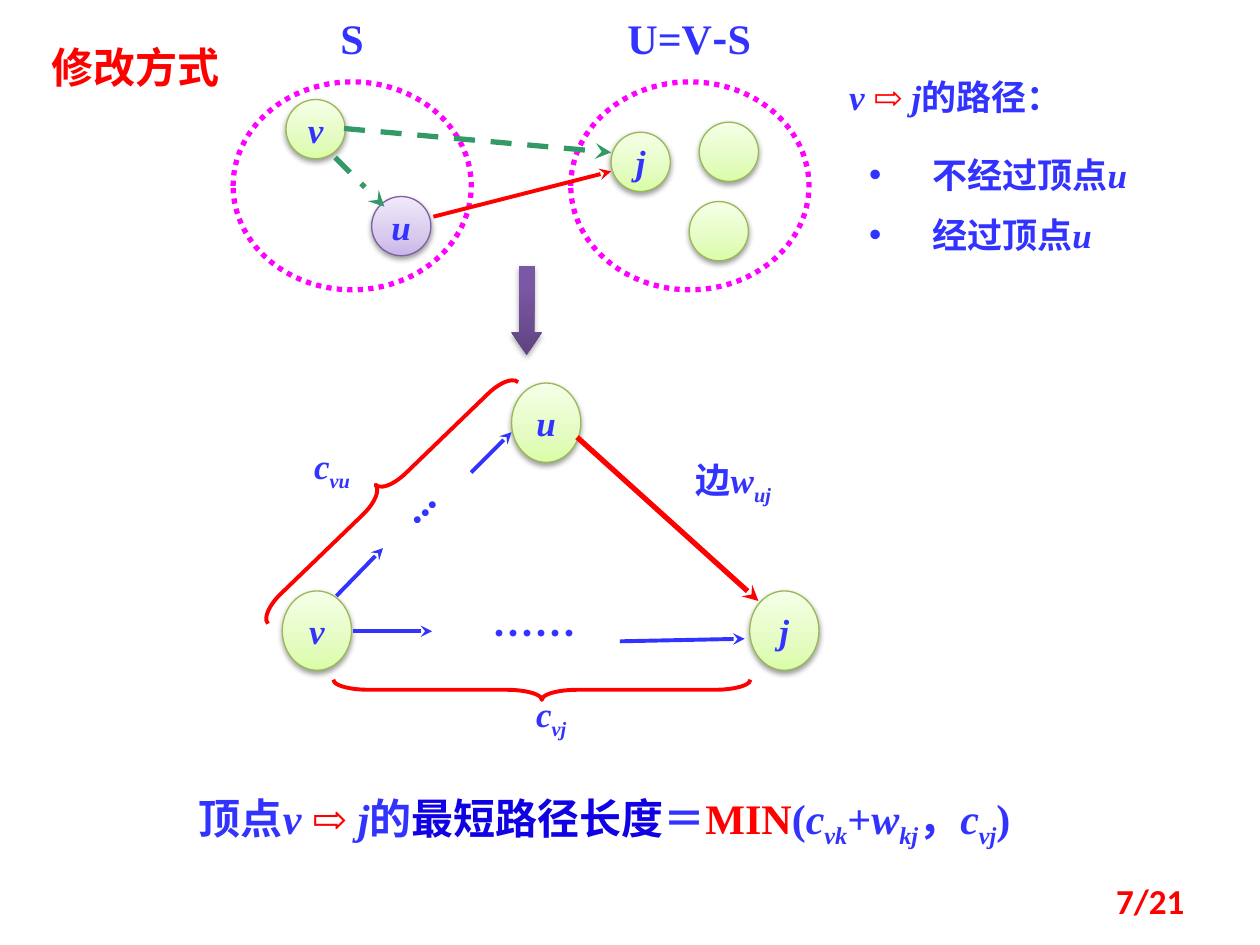
from copy import deepcopy

from lxml import etree
from pptx import Presentation
from pptx import util as u
from pptx.dml.color import RGBColor
from pptx.enum import dml, shapes, text
from pptx.oxml import ns

PX = 9144
SERIF, SANS, PLAIN = "Times New Roman", "Noto Sans CJK SC", "Calibri"
COLORS = {
    "blue": "3333FF", "deep": "1000E4", "red": "FF0000", "magenta": "FF00FF",
    "teal": "339966", "green_edge": "98B955", "purple_edge": "7D60A0", "black": "000000",
}
GRADIENTS = {
    "green": [(0, "DAFDA7"), (0.35, "E4FCC2"), (1, "F5FFE7")],
    "purple": [(0, "C9B5E8"), (0.35, "D8CBEE"), (1, "F0EAF9")],
    "arrow": [(0, "5F4480"), (0.8, "7B58A6"), (1, "7C57A8")],
}
LEFT, CENTER, RIGHT = text.PP_ALIGN.LEFT, text.PP_ALIGN.CENTER, text.PP_ALIGN.RIGHT

# Run flags: i italic, s subscript, r red, d deep blue, k sans
SETS = [(185, 65, 189, 165), (453, 65, 189, 165)]
SMALL, LARGE = (47, 47), (55, 63)
NODES = [
    ("v", 227, 79, SMALL, "green"), ("u", 295, 156, SMALL, "purple"),
    ("", 547, 160, SMALL, "green"), ("j", 485, 105, SMALL, "green"),
    ("", 555, 97, SMALL, "green"), ("u", 406, 304, LARGE, "green"),
    ("v", 224, 469, LARGE, "green"), ("j", 595, 469, LARGE, "green"),
]
ARROWS = [
    (344, 172, 485, 136, "red", 2.25, None),
    (273, 102, 485, 121, "teal", 3, dml.MSO_LINE.DASH),
    (266, 125, 305, 164, "teal", 3, dml.MSO_LINE.DASH_DOT),
    (458, 347, 602, 477, "red", 3, None),
    (267, 473, 304, 435, "blue", 2.25, None),
    (374, 375, 406, 343, "blue", 2.25, None),
    (280, 501, 343, 501, "blue", 2.25, None),
    (492, 509, 591, 507, "blue", 2.25, None),
]
BRACES = [
    (shapes.MSO_SHAPE.LEFT_BRACE, (295, 254, 20, 276), 46, 1.17),
    (shapes.MSO_SHAPE.RIGHT_BRACE, (422, 382, 16, 331), 90, 1.76),
]
DOWN_ARROW = (406, 211, 24, 71)
HEADINGS = [
    ((248, 10, 63, 40), [("S", "")]),
    ((492, 10, 110, 40), [("U=V", ""), ("-", "k"), ("S", "")]),
]
LABELS = [
    ((148, 624, 711, 50), 24, LEFT, 0, [
        ("顶点", ""), ("v ", "i"), ("⇨ ", "r"), ("j", "i"), ("的", ""), ("最短路径长度", "d"),
        ("＝", ""), ("MIN", "r"), ("(", ""), ("c", "i"), ("vk", "is"), ("+", ""), ("w", "i"),
        ("kj", "is"), ("，", ""), ("c", "i"), ("vj", "is"), (")", "")]),
    ((310, 390, 71, 50), 24, CENTER, 135, [("...", "")]),
    ((232, 348, 63, 44), 20, CENTER, 0, [("c", "i"), ("vu", "is")]),
    ((373, 477, 102, 50), 24, CENTER, 0, [("……", "k")]),
    ((406, 545, 63, 44), 20, CENTER, 0, [("c", "i"), ("vj", "is")]),
    ((515, 359, 134, 44), 20, CENTER, 0, [("边", ""), ("w", "i"), ("uj", "is")]),
    ((664, 55, 273, 44), 20, LEFT, 0, [("v ", "i"), ("⇨ ", "r"), ("j", "i"), ("的路径：", "")]),
    ((31, 28, 164, 50), 24, LEFT, 0, [("修改方式", "kr")]),
]
BULLETS_AT = (680, 117, 258, 94)
BULLETS = [[("不经过顶点", ""), ("u", "i")], [("经过顶点", ""), ("u", "i")]]
PAGE_NUMBER_AT, PAGE_NUMBER = (717, 695, 233, 40), "7/21"


def px(values):
    return [value * PX for value in values]


def color(name):
    return RGBColor.from_string(COLORS[name])


def add_xml(parent, tag, **attributes):
    return etree.SubElement(parent, ns.qn(tag), attributes)


def write_runs(para, runs, size, align, face=SERIF):
    para.alignment = align
    for words, flags in runs:
        span = para.add_run()
        span.text = words
        font = span.font
        font.size, font.bold, font.italic = u.Pt(size), True, "i" in flags
        font.color.rgb = color("red" if "r" in flags else "deep" if "d" in flags else "blue")
        font.name = SANS if "k" in flags else face
        properties = span._r.get_or_add_rPr()
        add_xml(properties, "a:ea", typeface=SANS)
        if "s" in flags:
            properties.set("baseline", "-25000")


def add_box(page, at, turn=0, inset=True, grow=True):
    box = page.shapes.add_textbox(*px(at))
    box.rotation = turn
    frame = box.text_frame
    frame.word_wrap = True
    if grow:
        frame.auto_size = text.MSO_AUTO_SIZE.SHAPE_TO_FIT_TEXT
    if not inset:
        frame.margin_left = frame.margin_right = frame.margin_top = frame.margin_bottom = 0
    return frame


def add_outline(page, kind, at, line, width):
    shape = page.shapes.add_shape(kind, *px(at))
    shape.shadow.inherit = False
    shape.fill.background()
    shape.line.color.rgb = color(line)
    shape.line.width = u.Pt(width)
    return shape


def paint(shape, gradient, opacity):
    shape.fill.gradient()
    shape.fill.gradient_angle = 90
    stops = shape._element.spPr.find(ns.qn("a:gradFill")).find(ns.qn("a:gsLst"))
    stops.append(deepcopy(stops[-1]))
    for stop, (position, value) in zip(shape.fill.gradient_stops, GRADIENTS[gradient]):
        stop.position = position
        stop.color.rgb = RGBColor.from_string(value)
    effects = shape._element.spPr.find(ns.qn("a:effectLst"))
    shadow = add_xml(effects, "a:outerShdw", blurRad="40000", dist="20000", dir="5400000", rotWithShape="0")
    add_xml(add_xml(shadow, "a:srgbClr", val=COLORS["black"]), "a:alpha", val=str(opacity * 1000))


def add_node(page, name, left, top, size, gradient):
    node = add_outline(page, shapes.MSO_SHAPE.OVAL, (left, top, *size), gradient + "_edge", 0.75)
    paint(node, gradient, 38)
    if name:
        node.text_frame.word_wrap = False
        node.text_frame.vertical_anchor = text.MSO_ANCHOR.MIDDLE
        write_runs(node.text_frame.paragraphs[0], [(name, "i")], 20, CENTER)


def add_arrow(page, x1, y1, x2, y2, line, width, dash):
    arrow = page.shapes.add_connector(shapes.MSO_CONNECTOR.STRAIGHT, *px((x1, y1, x2, y2)))
    arrow.line.color.rgb = color(line)
    arrow.line.width = u.Pt(width)
    if dash:
        arrow.line.dash_style = dash
    add_xml(arrow.line._get_or_add_ln(), "a:tailEnd", type="stealth")
    add_xml(arrow._element.spPr, "a:effectLst")


def add_bullets(page):
    frame = add_box(page, BULLETS_AT)
    for index, runs in enumerate(BULLETS):
        para = frame.add_paragraph() if index else frame.paragraphs[0]
        if index:
            para.space_before = u.Pt(10)
        properties = para._p.get_or_add_pPr()
        properties.set("marL", str(50 * PX))
        properties.set("indent", str(-50 * PX))
        add_xml(properties, "a:buFont", typeface="Arial")
        add_xml(properties, "a:buChar", char="•")
        write_runs(para, runs, 20, LEFT)


def main():
    deck = Presentation()
    deck.slide_width, deck.slide_height = px((1000, 750))
    page = deck.slides.add_slide(deck.slide_layouts[6])
    for at in SETS:
        ring = add_outline(page, shapes.MSO_SHAPE.OVAL, at, "magenta", 3)
        ring.line.dash_style = dml.MSO_LINE.ROUND_DOT
    for node in NODES:
        add_node(page, *node)
    for arrow in ARROWS:
        add_arrow(page, *arrow)
    for kind, at, turn, curl in BRACES:
        brace = add_outline(page, kind, at, "red", 2.25)
        brace.rotation = turn
        brace.adjustments[0] = curl
    down = add_outline(page, shapes.MSO_SHAPE.DOWN_ARROW, DOWN_ARROW, "black", 0)
    down.line.fill.background()
    down.adjustments[1] = 0.75
    paint(down, "arrow", 35)
    for at, runs in HEADINGS:
        write_runs(add_box(page, at, inset=False).paragraphs[0], runs, 24, CENTER)
    for at, size, align, turn, runs in LABELS:
        write_runs(add_box(page, at, turn).paragraphs[0], runs, size, align)
    add_bullets(page)
    number = add_box(page, PAGE_NUMBER_AT, grow=False)
    number.vertical_anchor = text.MSO_ANCHOR.MIDDLE
    write_runs(number.paragraphs[0], [(PAGE_NUMBER, "r")], 20, RIGHT, PLAIN)
    deck.save("out.pptx")


if __name__ == "__main__":
    main()
